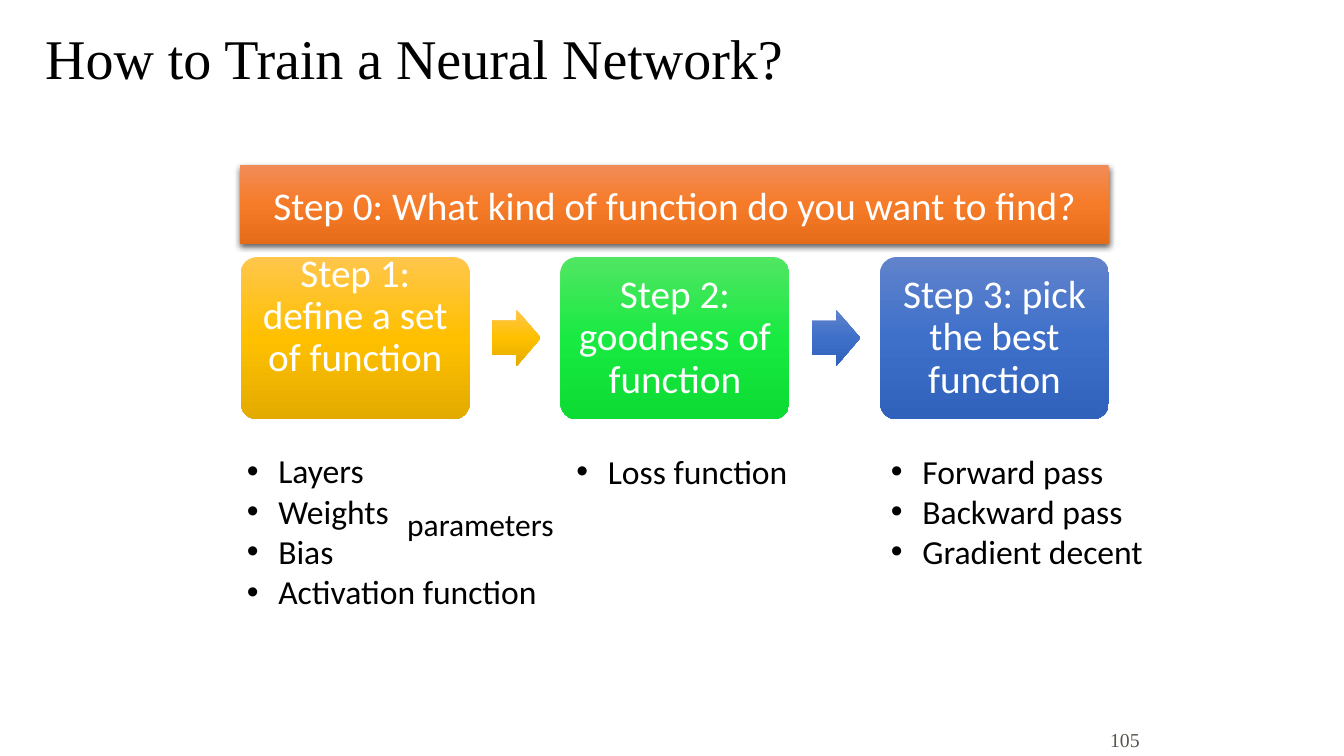
from lxml.etree import SubElement
from copy import deepcopy
from pptx import Presentation
from pptx.dml.color import RGBColor
from pptx.enum.shapes import MSO_SHAPE
from pptx.enum.text import MSO_ANCHOR, PP_ALIGN
from pptx.oxml.ns import qn
from pptx.util import Pt

COLORS = {"black": "000000", "white": "FFFFFF", "page": "5A554C"}
GRADIENTS = {
    "orange": ("F18C57", "F67B28", "E56C19"),
    "gold": ("FFC64B", "FFC000", "E3AB00"),
    "green": ("51E663", "19EA42", "0CDB34"),
    "blue": ("6183CB", "3E70CA", "3062BB"),
}


def set_all(target, values):
    for name, value in values.items():
        setattr(target, name, value)


class SlideBuilder:
    """Holds the text style and the slide being filled."""

    def __init__(self, slide, font="Calibri"):
        self.slide = slide
        self.font = font

    def add_lines(self, shape, lines, size, color="black", font=None,
                  frame_format=None, paragraph_format=None, bullet=False):
        frame = shape.text_frame
        set_all(frame, {"word_wrap": True, **(frame_format or {})})
        frame.text = "\n".join(lines)
        for paragraph in frame.paragraphs:
            set_all(paragraph, paragraph_format or {})
            for run in paragraph.runs:
                set_all(run.font, {"size": Pt(size), "name": font or self.font})
                run.font.color.rgb = RGBColor.from_string(COLORS[color])
            if bullet:
                self.add_bullet(paragraph)

    def add_bullet(self, paragraph):
        properties = paragraph._p.get_or_add_pPr()
        for name, value in {"marL": Pt(22.5), "indent": Pt(-22.5)}.items():
            properties.set(name, str(int(value)))
        SubElement(properties, qn("a:buFont")).set("typeface", "Arial")
        SubElement(properties, qn("a:buChar")).set("char", "•")

    def text(self, box, lines, size, **style):
        shape = self.slide.shapes.add_textbox(*map(Pt, box))
        self.add_lines(shape, lines, size, **style)

    def block(self, kind, box, gradient, adjustments=()):
        shape = self.slide.shapes.add_shape(kind, *map(Pt, box))
        for index, value in enumerate(adjustments):
            shape.adjustments[index] = value
        shape.shadow.inherit = False
        shape.line.fill.background()
        shape.fill.gradient()
        shape.fill.gradient_angle = 270
        stop_list = shape._element.spPr.find(".//" + qn("a:gsLst"))
        stop_list.insert(1, deepcopy(stop_list[0]))
        stops = zip(shape.fill.gradient_stops, (0, 0.5, 1), GRADIENTS[gradient])
        for stop, position, color in stops:
            stop.position = position
            stop.color.rgb = RGBColor.from_string(color)
        return shape

    def drop_shadow(self, shape):
        effects = shape._element.spPr.find(qn("a:effectLst"))
        shadow = SubElement(effects, qn("a:outerShdw"))
        values = {"blurRad": int(Pt(4.5)), "dist": int(Pt(1.5)), "dir": 5400000,
                  "algn": "ctr", "rotWithShape": 0}
        for name, value in values.items():
            shadow.set(name, str(value))
        color = SubElement(shadow, qn("a:srgbClr"))
        color.set("val", COLORS["black"])
        SubElement(color, qn("a:alpha")).set("val", "63000")


def margins(left, top, right, bottom):
    return {"margin_left": Pt(left), "margin_top": Pt(top),
            "margin_right": Pt(right), "margin_bottom": Pt(bottom)}


def main():
    presentation = Presentation()
    set_all(presentation, {"slide_width": Pt(960), "slide_height": Pt(540)})
    slide = presentation.slides.add_slide(presentation.slide_layouts[6])
    builder = SlideBuilder(slide)
    centered = {"alignment": PP_ALIGN.CENTER}
    middle = {"vertical_anchor": MSO_ANCHOR.MIDDLE}

    # Title
    builder.text((25.2, 18, 903.6, 51.8), ["How to Train a Neural Network?"], 40,
                 font="Times New Roman", frame_format=middle,
                 paragraph_format={"line_spacing": 0.9})

    # Step 0 banner
    banner = builder.block(MSO_SHAPE.RECTANGLE, (171.4, 118.1, 620.6, 56.2), "orange")
    builder.drop_shadow(banner)
    builder.add_lines(banner, ["Step 0: What kind of function do you want to find?"], 28,
                      color="white", frame_format=middle, paragraph_format=centered)

    # Steps 1 to 3: box, arrow to the next box, details below
    # Each entry: colour, box text, bottom margin, list left, list width, details
    steps = [
        ("gold", "Step 1: define a set of function", 39, 169.2, 227.5,
         ["Layers", "Weights", "Bias", "Activation function"]),
        ("green", "Step 2: goodness of function", 8.6, 404.6, 202.3,
         ["Loss function"]),
        ("blue", "Step 3: pick the best function", 8.6, 629.3, 202.3,
         ["Forward pass", "Backward pass", "Gradient decent"]),
    ]
    arrow_colors = ("gold", "blue")
    first_left, pitch = 172.1, 228.3
    for index, (color, label, bottom, list_left, list_width, details) in enumerate(steps):
        left = first_left + index * pitch
        box = builder.block(MSO_SHAPE.ROUNDED_RECTANGLE,
                            (left, 183.6, 163.4, 115.9), color, (0.1,))
        builder.add_lines(box, [label], 28, color="white",
                          frame_format={**middle, **margins(8.6, 8.6, 8.6, bottom)},
                          paragraph_format={**centered, "line_spacing": 0.9})
        if index < len(arrow_colors):
            builder.block(MSO_SHAPE.RIGHT_ARROW, (left + 179.5, 221.2, 34.6, 40.4),
                          arrow_colors[index], (0.6, 0.5))
        builder.text((list_left, 318.2, list_width, 7.2 + 29 * len(details)),
                     details, 24, bullet=True)

    # Note beside weights and bias
    builder.text((283.7, 357.1, 121, 34.6), ["parameters"], 22.5)

    # Page number
    builder.text((786.2, 517, 34.6, 23), ["105"], 14.1, color="page",
                 font="Times New Roman", frame_format=margins(2.9, 2.9, 2.9, 2.9),
                 paragraph_format=centered)

    presentation.save("out.pptx")


if __name__ == "__main__":
    main()
